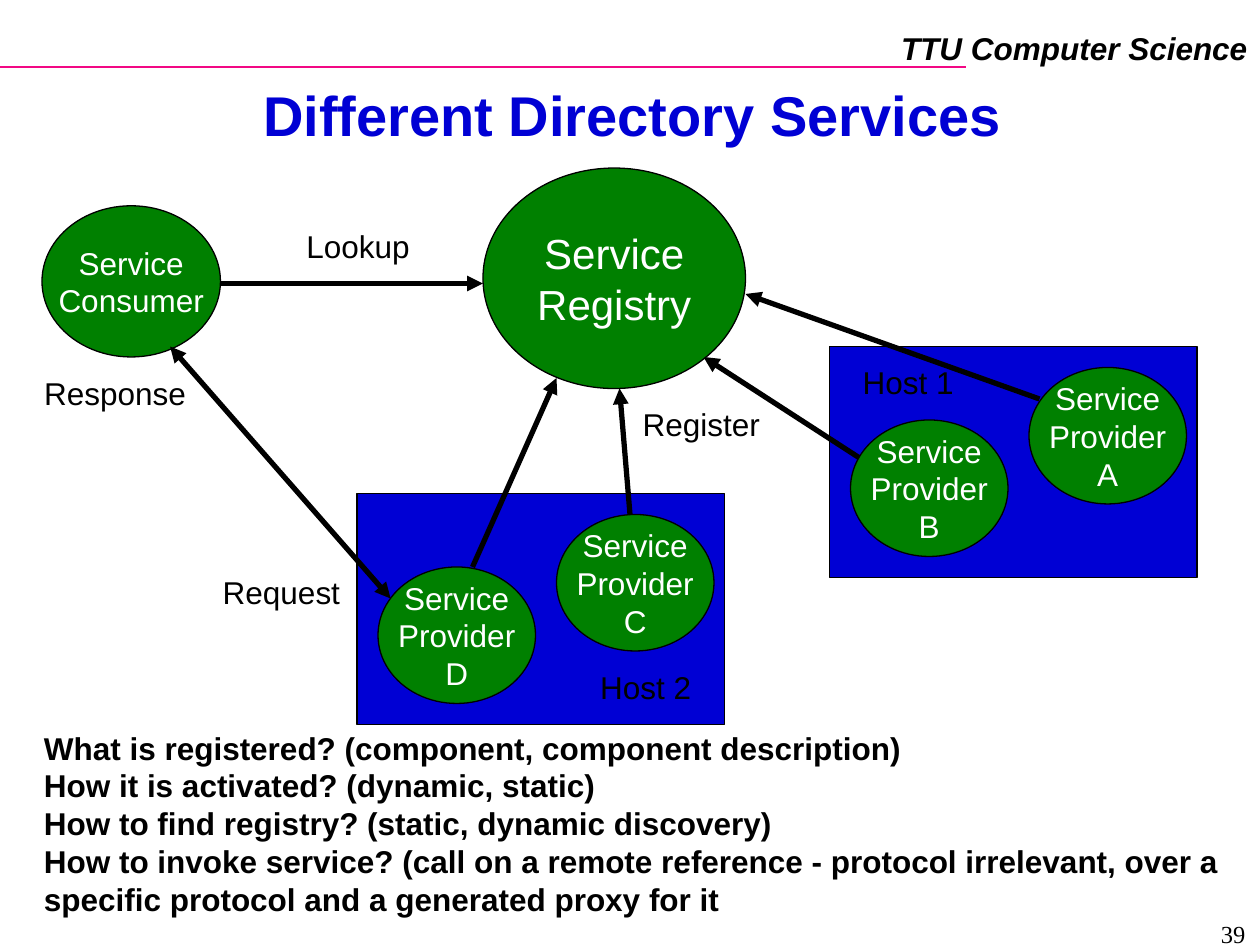
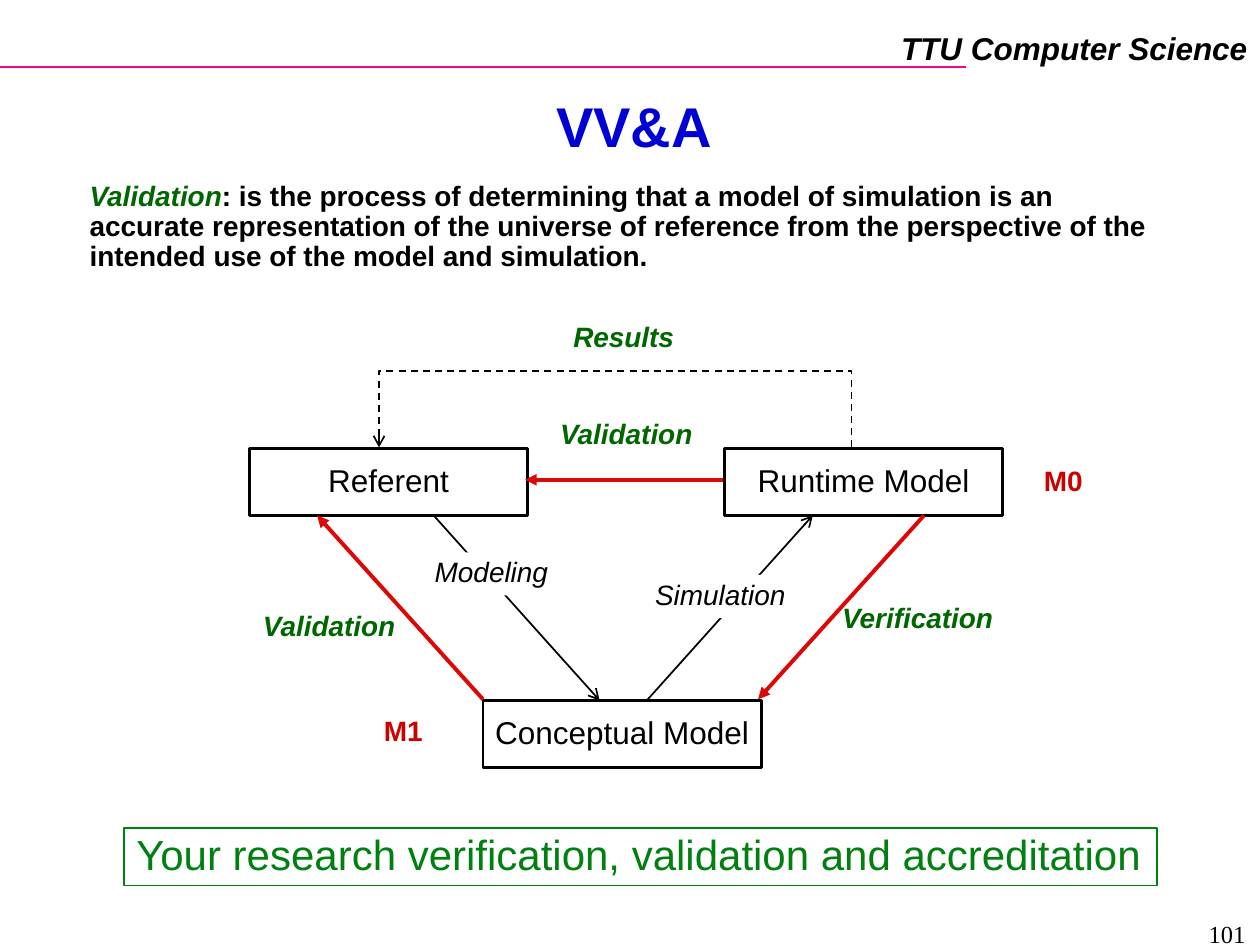
from pptx import Presentation
from pptx.dml.color import RGBColor
from pptx.enum.dml import MSO_LINE
from pptx.enum.shapes import MSO_CONNECTOR, MSO_SHAPE
from pptx.enum.text import MSO_ANCHOR, MSO_AUTO_SIZE, PP_ALIGN
from pptx.oxml.ns import qn
from pptx.util import Emu, Inches, Pt
from lxml.etree import SubElement

COLORS = {
    "black": "000000", "white": "FFFFFF", "pink": "F20884", "blue": "0000D4",
    "node": "008000", "term": "006600", "banner": "008011",
    "arrow": "DD0806", "level": "CC0000",
}
CELL = Inches(1) // 12
COLUMNS, ROWS = 120, 90

HEADER = "TTU Computer Science"
HEADER_LINE = ((0, 6.36), (92, 6.36))
HEADER_BOX = (84.6, 2.2, 35.4, 4.8)
NUMBER_BOX = (91.8, 86.9, 28, 2.6)
TITLE_SIZE = (108, 6.6)

DIRECTORY = {"title": "Different Directory Services", "at": (6.25, 8.05), "number": "39"}
HOST_SIZE = (35, 22)
HOST_LABEL_SIZE = (12, 4.8)
PROVIDER_SIZE = (15, 13)
PROVIDER_OFFSETS = [(19, 2), (2, 7)]
HOSTS = [
    {"name": "Host 1", "at": (79, 33), "label": (1.5, 1), "providers": "AB"},
    {"name": "Host 2", "at": (34, 47), "label": (21.5, 16), "providers": "CD"},
]
ACTORS = [
    (["Service", "Registry"], (46, 16, 25, 21), 24),
    (["Service", "Consumer"], (4, 19.6, 17, 14.4), 18),
]
ARROWS_BEHIND_NODES = [((21, 27), (46, 27)), ((84, 45), (67, 34))]
ARROWS_OVER_NODES = [
    ((99, 38), (71, 28)),
    ((60, 49), (59, 37)),
    ((45, 54), (53, 36)),
]
REQUEST_ARROW = ((16.2, 33), (37.2, 57))
MESSAGES = [
    ("Lookup", (27.6, 21, 13, 4.8)),
    ("Register", (59.6, 38, 14.4, 4.8)),
    ("Request", (19.6, 54, 14.4, 4.8)),
    ("Response", (2.6, 35, 16.7, 4.8)),
]
QUESTIONS_BOX = (3, 68.8, 117, 19.2)
QUESTIONS = [
    "What is registered? (component, component description)",
    "How it is activated? (dynamic, static)",
    "How to find registry? (static, dynamic discovery)",
    "How to invoke service? (call on a remote reference - protocol irrelevant, "
    "over a specific protocol and a generated proxy for it",
]

VALIDATION = {"title": "VV&A", "at": (6.4, 9.05), "number": "101"}
DEFINITION_BOX = (7.35, 16.75, 105.7, 9.8)
DEFINITION = (
    "Validation",
    ": is the process of determining that a model of simulation is an accurate "
    "representation of the universe of reference from the perspective of the "
    "intended use of the model and simulation.",
)
MODEL_SIZE = (26.5, 6.4)
MODELS = [
    ("Referent", (23.75, 42.7)),
    ("Runtime Model", (69, 42.7)),
    ("Conceptual Model", (46, 66.7)),
]
CHECK_ARROWS = [
    ((46, 66.6), (30.2, 49.1)),
    ((88, 49.1), (72.2, 66.6)),
    ((68.9, 45.7), (50, 45.7)),
]
STEP_ARROWS = [((41.4, 49.2), (57.1, 66.7)), ((61.7, 66.6), (77.4, 49.1))]
RESULTS_ROUTE = [(81.1, 42.6), (81.1, 35.3), (36.1, 35.3), (36.1, 42.6)]
CHECKS = [
    ("Validation", (23.4, 57.7, 15.9, 4.1)),
    ("Verification", (78.6, 57, 17.6, 4.1)),
    ("Validation", (51.7, 39.4, 15.9, 4.1)),
    ("Results", (53, 30.25, 12.8, 4.1)),
]
STEPS = [
    ("Modeling", (40.2, 52.6, 13.2, 4.1)),
    ("Simulation", (61.2, 54.75, 14.8, 4.1)),
]
LEVELS = [("M1", (33.4, 67.75, 10, 4.1)), ("M0", (96.25, 43.9, 10, 4.1))]
BANNER = "Your research verification, validation and accreditation"
BANNER_BOX = (11.8, 78.85, 98.4, 5.5)


def cells(values):
    return [Emu(round(value * CELL)) for value in values]


def color(name):
    return RGBColor.from_string(COLORS[name])


def run_style(size=18, ink="black", bold=False, italic=False, font="Arial"):
    return {"size": size, "ink": ink, "bold": bold, "italic": italic, "font": font}


def add_run(paragraph, text, style):
    run = paragraph.add_run()
    run.text = text
    run.font.name = style["font"]
    run.font.size = Pt(style["size"])
    run.font.bold = style["bold"]
    run.font.italic = style["italic"]
    run.font.color.rgb = color(style["ink"])


def write(shape, paragraphs, align=PP_ALIGN.CENTER, spacing=1.0,
          anchor=MSO_ANCHOR.TOP, wrap=False, grow=False):
    frame = shape.text_frame
    frame.word_wrap = wrap
    frame.vertical_anchor = anchor
    frame.auto_size = MSO_AUTO_SIZE.SHAPE_TO_FIT_TEXT if grow else MSO_AUTO_SIZE.NONE
    for index, runs in enumerate(paragraphs):
        paragraph = frame.add_paragraph() if index else frame.paragraphs[0]
        paragraph.alignment = align
        paragraph.line_spacing = spacing
        for text, style in runs:
            add_run(paragraph, text, style)


def add_text(slide, box, paragraphs, **layout):
    write(slide.shapes.add_textbox(*cells(box)), paragraphs, **layout)


def add_block(slide, kind, box, fill=None, line=None, width=0.75):
    shape = slide.shapes.add_shape(kind, *cells(box))
    shape.shadow.inherit = False
    if fill:
        shape.fill.solid()
        shape.fill.fore_color.rgb = color(fill)
    else:
        shape.fill.background()
    if line:
        shape.line.color.rgb = color(line)
        shape.line.width = Pt(width)
    else:
        shape.line.fill.background()
    return shape


def add_arrowhead(shape, end, kind):
    outline = shape._element.spPr.find(qn("a:ln"))
    SubElement(outline, qn(f"a:{end}"), type=kind)


def add_line(slide, ends, ink="black", width=3, head=None, tail=None):
    start, finish = ends
    connector = slide.shapes.add_connector(
        MSO_CONNECTOR.STRAIGHT, *cells(start), *cells(finish))
    connector.line.color.rgb = color(ink)
    connector.line.width = Pt(width)
    for end, kind in (("headEnd", head), ("tailEnd", tail)):
        if kind:
            add_arrowhead(connector, end, kind)
    SubElement(connector._element.spPr, qn("a:effectLst"))


def add_results_route(slide):
    first, *others = [cells(point) for point in RESULTS_ROUTE]
    builder = slide.shapes.build_freeform(*first)
    builder.add_line_segments(others, close=False)
    route = builder.convert_to_shape()
    route.shadow.inherit = False
    route.fill.background()
    route.line.color.rgb = color("black")
    route.line.width = Pt(1)
    route.line.dash_style = MSO_LINE.DASH
    add_arrowhead(route, "tailEnd", "arrow")


def add_framed_slide(presentation, content):
    slide = presentation.slides.add_slide(presentation.slide_layouts[6])
    add_line(slide, HEADER_LINE, "pink", 1)
    add_text(slide, HEADER_BOX, [[(HEADER, run_style(bold=True, italic=True))]],
             align=PP_ALIGN.RIGHT, grow=True)
    add_text(slide, content["at"] + TITLE_SIZE,
             [[(content["title"], run_style(32, "blue", bold=True))]],
             spacing=0.87, anchor=MSO_ANCHOR.MIDDLE, wrap=True)
    add_text(slide, NUMBER_BOX,
             [[(content["number"], run_style(14, font="Times New Roman"))]],
             align=PP_ALIGN.RIGHT, wrap=True)
    return slide


def add_node(slide, lines, box, size=18):
    node = add_block(slide, MSO_SHAPE.OVAL, box, "node", "black")
    style = run_style(size, "white")
    write(node, [[(line, style)] for line in lines], anchor=MSO_ANCHOR.MIDDLE)


def shifted(origin, offset):
    return origin[0] + offset[0], origin[1] + offset[1]


def build_directory(presentation):
    slide = add_framed_slide(presentation, DIRECTORY)
    for host in HOSTS:
        add_block(slide, MSO_SHAPE.RECTANGLE, host["at"] + HOST_SIZE, "blue", "black")
    for ends in ARROWS_BEHIND_NODES:
        add_line(slide, ends, tail="triangle")
    for lines, box, size in ACTORS:
        add_node(slide, lines, box, size)
    labels = list(MESSAGES)
    for host in HOSTS:
        for letter, offset in zip(host["providers"], PROVIDER_OFFSETS):
            add_node(slide, ["Service", "Provider", letter],
                     shifted(host["at"], offset) + PROVIDER_SIZE)
        labels.append((host["name"], shifted(host["at"], host["label"]) + HOST_LABEL_SIZE))
    for text, box in labels:
        add_text(slide, box, [[(text, run_style())]], grow=True)
    for ends in ARROWS_OVER_NODES:
        add_line(slide, ends, tail="triangle")
    add_line(slide, REQUEST_ARROW, head="triangle", tail="triangle")
    add_text(slide, QUESTIONS_BOX,
             [[(question, run_style(bold=True))] for question in QUESTIONS],
             align=PP_ALIGN.LEFT, wrap=True, grow=True)


def build_validation(presentation):
    slide = add_framed_slide(presentation, VALIDATION)
    term = run_style(16, "term", bold=True, italic=True)
    for name, place in MODELS:
        model = add_block(slide, MSO_SHAPE.RECTANGLE, place + MODEL_SIZE,
                          line="black", width=1.5)
        write(model, [[(name, run_style())]], spacing=0.9, anchor=MSO_ANCHOR.MIDDLE)
    for ends in CHECK_ARROWS:
        add_line(slide, ends, "arrow", 2.25, tail="triangle")
    for ends in STEP_ARROWS:
        add_line(slide, ends, width=1, tail="arrow")
    add_results_route(slide)
    for text, box in CHECKS:
        add_text(slide, box, [[(text, term)]], spacing=0.9, grow=True)
    for text, box in STEPS:
        step = add_block(slide, MSO_SHAPE.RECTANGLE, box, "white")
        write(step, [[(text, run_style(16, italic=True))]], spacing=0.9, grow=True)
    for text, box in LEVELS:
        add_text(slide, box, [[(text, run_style(16, "level", bold=True))]],
                 spacing=0.9, wrap=True, grow=True)
    name, meaning = DEFINITION
    add_text(slide, DEFINITION_BOX, [[(name, term), (meaning, run_style(16, bold=True))]],
             align=PP_ALIGN.LEFT, spacing=0.9, wrap=True, grow=True)
    banner = add_block(slide, MSO_SHAPE.RECTANGLE, BANNER_BOX, line="banner", width=1)
    write(banner, [[(BANNER, run_style(24, "banner"))]],
          align=PP_ALIGN.LEFT, spacing=0.9, grow=True)


def main():
    """Build the directory services and validation slides."""
    presentation = Presentation()
    presentation.slide_width = COLUMNS * CELL
    presentation.slide_height = ROWS * CELL
    build_directory(presentation)
    build_validation(presentation)
    presentation.save("out.pptx")


if __name__ == "__main__":
    main()
